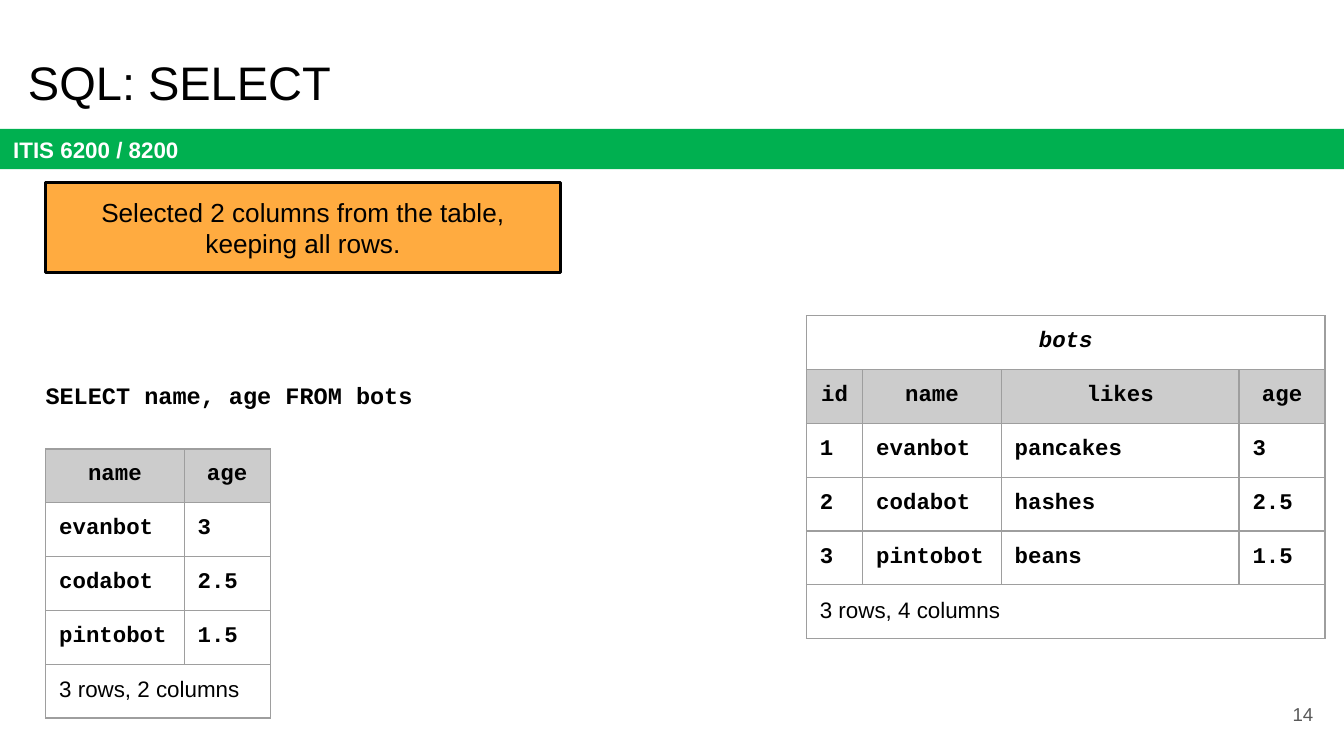
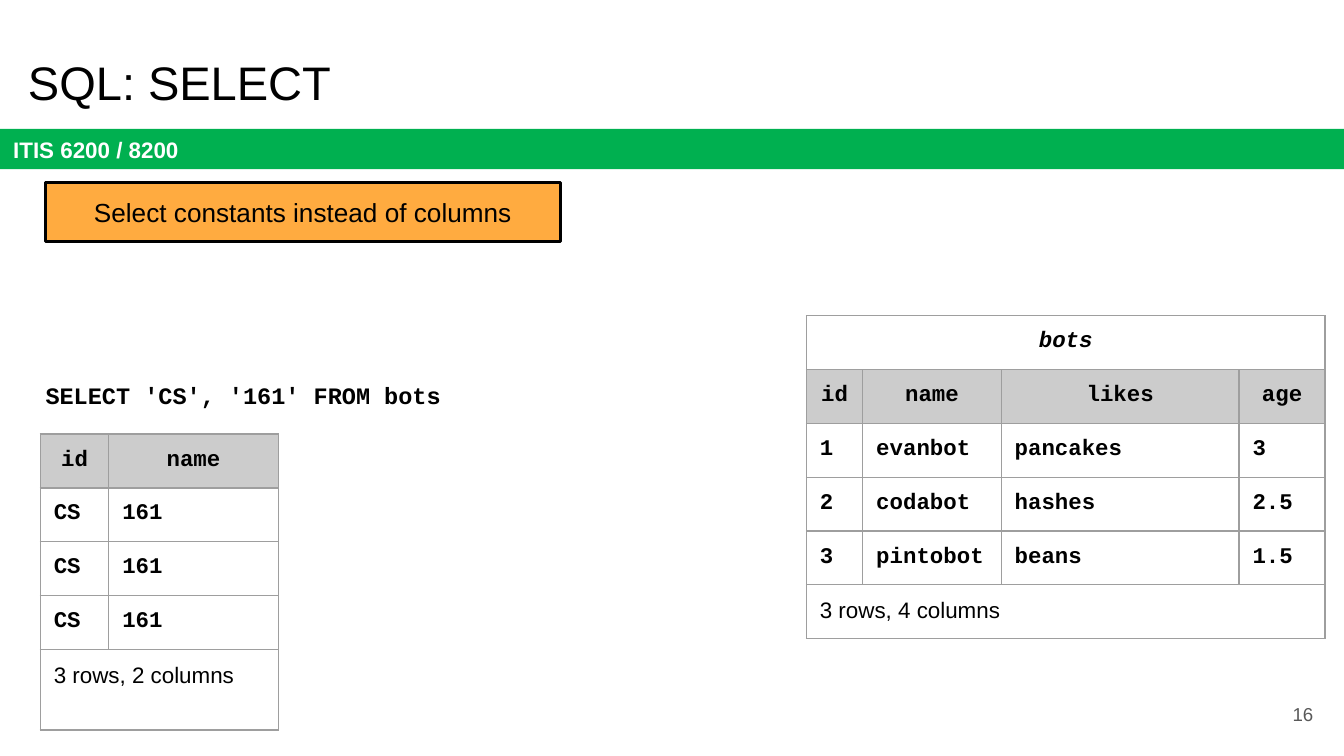
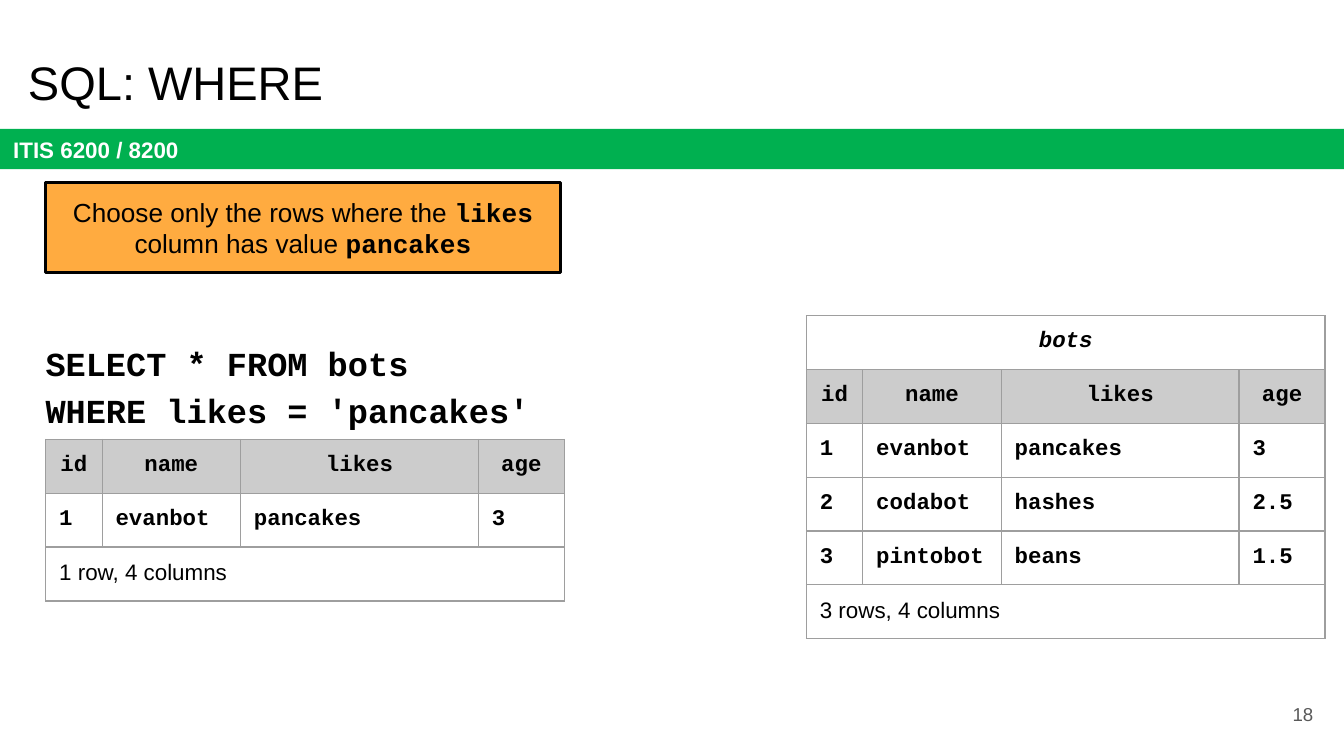
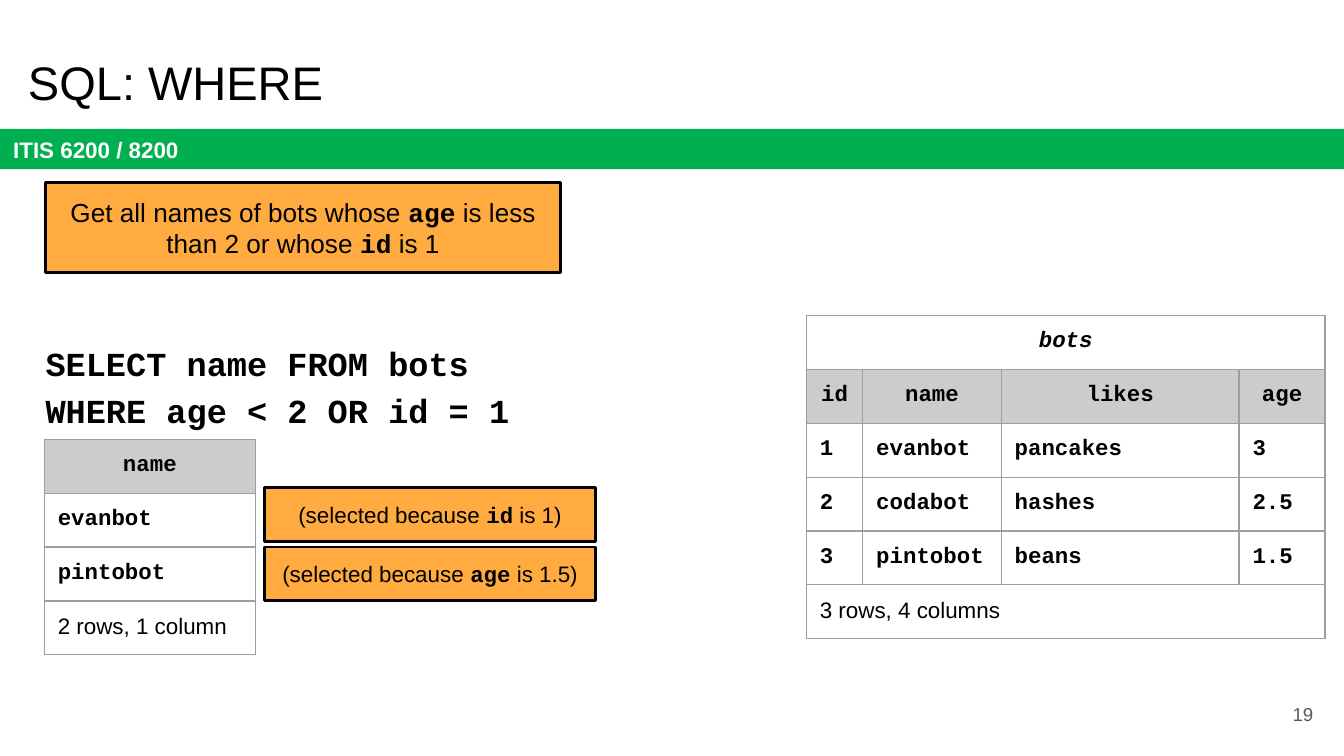
"""Build four slides on SQL SELECT and WHERE queries over a small table."""

from dataclasses import dataclass
from typing import Any, Optional

import lxml.etree
import pptx
import pptx.dml.color
import pptx.enum.shapes
import pptx.enum.text
import pptx.oxml.ns
import pptx.util

SLIDE_WIDTH = pptx.util.Inches(10)
SLIDE_HEIGHT = SLIDE_WIDTH * 9 // 16
GRID_COLUMNS = 100
GRID_UNIT = SLIDE_WIDTH // GRID_COLUMNS
MARGIN = pptx.util.Emu(GRID_UNIT)

BLACK = pptx.dml.color.RGBColor(0x00, 0x00, 0x00)
WHITE = pptx.dml.color.RGBColor(0xFF, 0xFF, 0xFF)
GREEN = pptx.dml.color.RGBColor(0x00, 0xB0, 0x50)
ORANGE = pptx.dml.color.RGBColor(0xFF, 0xAB, 0x40)
HEADER_GRAY = pptx.dml.color.RGBColor(0xCC, 0xCC, 0xCC)
BORDER_GRAY = pptx.dml.color.RGBColor(0x9E, 0x9E, 0x9E)
NUMBER_GRAY = pptx.dml.color.RGBColor(0x59, 0x59, 0x59)

SANS = "Arial"
MONO = "Courier New"
COURSE = "ITIS 6200 / 8200"
BORDER_WIDTH = pptx.util.Pt(0.75)

LEFT = pptx.enum.text.PP_ALIGN.LEFT
CENTER = pptx.enum.text.PP_ALIGN.CENTER
RIGHT = pptx.enum.text.PP_ALIGN.RIGHT
TOP = pptx.enum.text.MSO_ANCHOR.TOP
MIDDLE = pptx.enum.text.MSO_ANCHOR.MIDDLE


@dataclass(frozen=True)
class Box:
    """A rectangle in grid units."""

    left: float
    top: float
    width: float
    height: float


@dataclass(frozen=True)
class TextStyle:
    """The look of a paragraph."""

    size: float
    font: str = SANS
    color: pptx.dml.color.RGBColor = BLACK
    bold: bool = False
    italic: bool = False
    align: Any = LEFT


@dataclass(frozen=True)
class Query:
    """An SQL statement with its place and spacing."""

    text: str
    box: Box
    size: float
    line_spacing: float


@dataclass(frozen=True)
class Callout:
    """An orange box; backticks mark code in its text."""

    text: str
    box: Box
    size: float = 14


@dataclass(frozen=True)
class DataTable:
    """A table with a header, records and a closing count."""

    left: float
    top: float
    widths: tuple[float, ...]
    header: tuple[str, ...]
    records: tuple[tuple[str, ...], ...]
    count: str
    caption: Optional[str] = None
    row_height: float = 4
    count_height: float = 4


@dataclass(frozen=True)
class QuerySlide:
    """Everything that differs from slide to slide."""

    title: str
    number: int
    query: Query
    result: DataTable
    callouts: tuple[Callout, ...]


BAND_BOX = Box(0, 9.6, GRID_COLUMNS, 3)
TITLE_BOX = Box(1.1, 3, 93.2, 6.3)
NUMBER_BOX = Box(92.7, 51, 6, 4.3)
SHORT_NOTE_BOX = Box(3.4, 13.6, 38.3, 4.4)
NOTE_BOX = Box(3.4, 13.6, 38.3, 6.7)
SHORT_QUERY_BOX = Box(2.4, 27.5, 48.2, 5.8)
QUERY_BOX = Box(2.4, 24.1, 48.2, 8.5)
REASON_TOP, REASON_STEP = 36.3, 4.4

BAND_STYLE = TextStyle(12, color=WHITE, bold=True)
TITLE_STYLE = TextStyle(25.2)
NUMBER_STYLE = TextStyle(10, color=NUMBER_GRAY, align=RIGHT)
CAPTION_STYLE = TextStyle(12, MONO, bold=True, italic=True, align=CENTER)
HEADER_STYLE = TextStyle(12, MONO, bold=True, align=CENTER)
RECORD_STYLE = TextStyle(12, MONO, bold=True)
COUNT_STYLE = TextStyle(12)

BOTS_HEADER = ("id", "name", "likes", "age")
BOTS_WIDTHS = (4.2, 10.3, 17.7, 6.4)
BOTS_RECORDS = (
    ("1", "evanbot", "pancakes", "3"),
    ("2", "codabot", "hashes", "2.5"),
    ("3", "pintobot", "beans", "1.5"),
)
BOTS_TABLE = DataTable(
    60, 23.5, BOTS_WIDTHS, BOTS_HEADER, BOTS_RECORDS, "3 rows, 4 columns",
    caption="bots", row_height=3.87, count_height=3.87,
)


def short_query(text: str) -> Query:
    """Describe a one-line query."""
    return Query(text, SHORT_QUERY_BOX, 12.6, 0.95)


def long_query(text: str) -> Query:
    """Describe a two-line query."""
    return Query(text, QUERY_BOX, 18, 1.15)


def reason(index: int, text: str) -> Callout:
    """Describe the remark beside a result row."""
    return Callout(text, Box(19.7, REASON_TOP + index * REASON_STEP, 24.6, 4), 12)


QUERY_SLIDES = (
    QuerySlide(
        "SQL: SELECT", 14,
        short_query("SELECT name, age FROM bots"),
        DataTable(
            3.4, 33.4, (BOTS_WIDTHS[1], BOTS_WIDTHS[3]), ("name", "age"),
            tuple((name, age) for _, name, _, age in BOTS_RECORDS),
            "3 rows, 2 columns", row_height=3.87, count_height=3.87,
        ),
        (Callout("Selected 2 columns from the table, keeping all rows.", NOTE_BOX),),
    ),
    QuerySlide(
        "SQL: SELECT", 16,
        short_query("SELECT 'CS', '161' FROM bots"),
        DataTable(
            3, 32.3, (5.1, 12.6), ("id", "name"), (("CS", "161"),) * 3,
            "3 rows, 2 columns", count_height=6,
        ),
        (Callout("Select constants instead of columns", SHORT_NOTE_BOX),),
    ),
    QuerySlide(
        "SQL: WHERE", 18,
        long_query("SELECT * FROM bots\nWHERE likes = 'pancakes'"),
        DataTable(
            3.4, 32.7, BOTS_WIDTHS, BOTS_HEADER, BOTS_RECORDS[:1],
            "1 row, 4 columns",
        ),
        (Callout(
            "Choose only the rows where the `likes` column has value `pancakes`",
            NOTE_BOX,
        ),),
    ),
    QuerySlide(
        "SQL: WHERE", 19,
        long_query("SELECT name FROM bots\nWHERE age < 2 OR id = 1"),
        DataTable(
            3.3, 32.7, (15.7,), ("name",), (("evanbot",), ("pintobot",)),
            "2 rows, 1 column",
        ),
        (
            Callout(
                "Get all names of bots whose `age` is less than 2 or whose `id` is 1",
                NOTE_BOX,
            ),
            reason(0, "(selected because `id` is 1)"),
            reason(1, "(selected because `age` is 1.5)"),
        ),
    ),
)


def grid(units: float) -> int:
    """Convert grid units to a length."""
    return pptx.util.Emu(round(units * GRID_UNIT))


def place(box: Box) -> tuple[int, int, int, int]:
    """Convert a box to left, top, width and height."""
    return grid(box.left), grid(box.top), grid(box.width), grid(box.height)


def format_run(run: Any, style: TextStyle) -> None:
    """Apply a style to one run."""
    run.font.name = style.font
    run.font.size = pptx.util.Pt(style.size)
    run.font.bold = style.bold
    run.font.italic = style.italic
    run.font.color.rgb = style.color


def write(paragraph: Any, text: str, style: TextStyle) -> None:
    """Set the text of a paragraph and format it."""
    paragraph.text = text
    paragraph.alignment = style.align
    for run in paragraph.runs:
        format_run(run, style)


def write_mixed(paragraph: Any, text: str, size: float) -> None:
    """Write centred prose in which backticks mark code."""
    paragraph.alignment = CENTER
    styles = (TextStyle(size), TextStyle(size, MONO, bold=True))
    for index, piece in enumerate(text.split("`")):
        if piece:
            run = paragraph.add_run()
            run.text = piece
            format_run(run, styles[index % 2])


def prepare_frame(shape: Any, anchor: Any = TOP) -> Any:
    """Set wrapping, margins and anchor, and return the text frame."""
    frame = shape.text_frame
    frame.word_wrap = True
    frame.vertical_anchor = anchor
    frame.margin_left = frame.margin_right = MARGIN
    frame.margin_top = frame.margin_bottom = MARGIN
    return frame


def add_text(slide: Any, box: Box, text: str, style: TextStyle, anchor: Any = TOP) -> Any:
    """Add a text box and return its paragraph."""
    frame = prepare_frame(slide.shapes.add_textbox(*place(box)), anchor)
    write(frame.paragraphs[0], text, style)
    return frame.paragraphs[0]


def add_rectangle(slide: Any, box: Box, fill: pptx.dml.color.RGBColor) -> Any:
    """Add a filled rectangle without outline or shadow."""
    shape = slide.shapes.add_shape(
        pptx.enum.shapes.MSO_SHAPE.RECTANGLE, *place(box)
    )
    shape.shadow.inherit = False
    shape.fill.solid()
    shape.fill.fore_color.rgb = fill
    shape.line.fill.background()
    return shape


def add_callout(slide: Any, callout: Callout) -> None:
    """Add an outlined orange box."""
    shape = add_rectangle(slide, callout.box, ORANGE)
    shape.line.color.rgb = BLACK
    shape.line.width = pptx.util.Pt(1.5)
    frame = prepare_frame(shape)
    frame.auto_size = pptx.enum.text.MSO_AUTO_SIZE.SHAPE_TO_FIT_TEXT
    write_mixed(frame.paragraphs[0], callout.text, callout.size)


def add_query(slide: Any, query: Query) -> None:
    """Add an SQL statement."""
    style = TextStyle(query.size, MONO, bold=True)
    paragraph = add_text(slide, query.box, query.text, style)
    paragraph.line_spacing = query.line_spacing
    paragraph.space_after = pptx.util.Pt(12)


def add_borders(cell: Any) -> None:
    """Draw the four borders of a cell."""
    qualify = pptx.oxml.ns.qn
    properties = cell._tc.get_or_add_tcPr()
    for index, side in enumerate(("a:lnL", "a:lnR", "a:lnT", "a:lnB")):
        line = lxml.etree.Element(qualify(side), w=str(int(BORDER_WIDTH)))
        fill = lxml.etree.SubElement(line, qualify("a:solidFill"))
        lxml.etree.SubElement(fill, qualify("a:srgbClr"), val=str(BORDER_GRAY))
        properties.insert(index, line)


def format_cell(cell: Any, is_header: bool) -> None:
    """Set the margins, fill and borders of a cell."""
    cell.margin_left = cell.margin_right = MARGIN
    cell.margin_top = cell.margin_bottom = MARGIN
    if is_header:
        cell.fill.solid()
        cell.fill.fore_color.rgb = HEADER_GRAY
    else:
        cell.fill.background()
    add_borders(cell)


def add_data_table(slide: Any, data: DataTable) -> None:
    """Add a table whose caption and count span all columns."""
    rows = [(data.header, HEADER_STYLE)]
    rows += [(record, RECORD_STYLE) for record in data.records]
    rows.append(((data.count,), COUNT_STYLE))
    if data.caption:
        rows.insert(0, ((data.caption,), CAPTION_STYLE))
    heights = [data.row_height] * (len(rows) - 1) + [data.count_height]
    box = Box(data.left, data.top, sum(data.widths), sum(heights))
    table = slide.shapes.add_table(len(rows), len(data.widths), *place(box)).table
    table.first_row = table.horz_banding = False
    for column, width in zip(table.columns, data.widths):
        column.width = grid(width)
    for index, ((values, style), height) in enumerate(zip(rows, heights)):
        row = table.rows[index]
        row.height = grid(height)
        for cell in row.cells:
            format_cell(cell, style is HEADER_STYLE)
        if len(values) < len(data.widths):
            row.cells[0].merge(row.cells[len(data.widths) - 1])
        for cell, value in zip(row.cells, values):
            write(cell.text_frame.paragraphs[0], value, style)


def add_frame(slide: Any, title: str, number: int) -> None:
    """Add the band, title and page number that every slide has."""
    band = prepare_frame(add_rectangle(slide, BAND_BOX, GREEN), MIDDLE)
    write(band.paragraphs[0], COURSE, BAND_STYLE)
    add_text(slide, TITLE_BOX, title, TITLE_STYLE)
    add_text(slide, NUMBER_BOX, str(number), NUMBER_STYLE, MIDDLE)


def main() -> None:
    """Build and save the presentation."""
    presentation = pptx.Presentation()
    presentation.slide_width = SLIDE_WIDTH
    presentation.slide_height = SLIDE_HEIGHT
    for content in QUERY_SLIDES:
        slide = presentation.slides.add_slide(presentation.slide_layouts[6])
        add_frame(slide, content.title, content.number)
        add_data_table(slide, BOTS_TABLE)
        add_query(slide, content.query)
        add_data_table(slide, content.result)
        for callout in content.callouts:
            add_callout(slide, callout)
    presentation.save("out.pptx")


if __name__ == "__main__":
    main()
